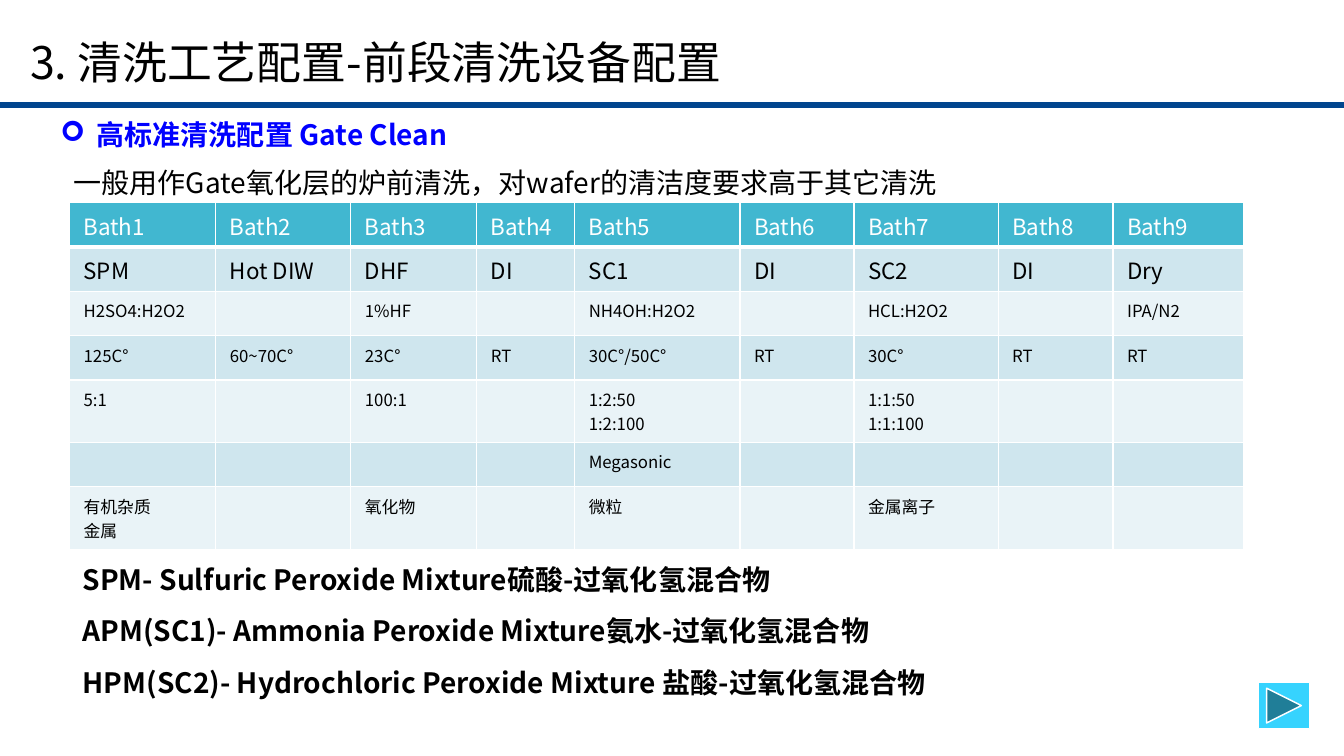
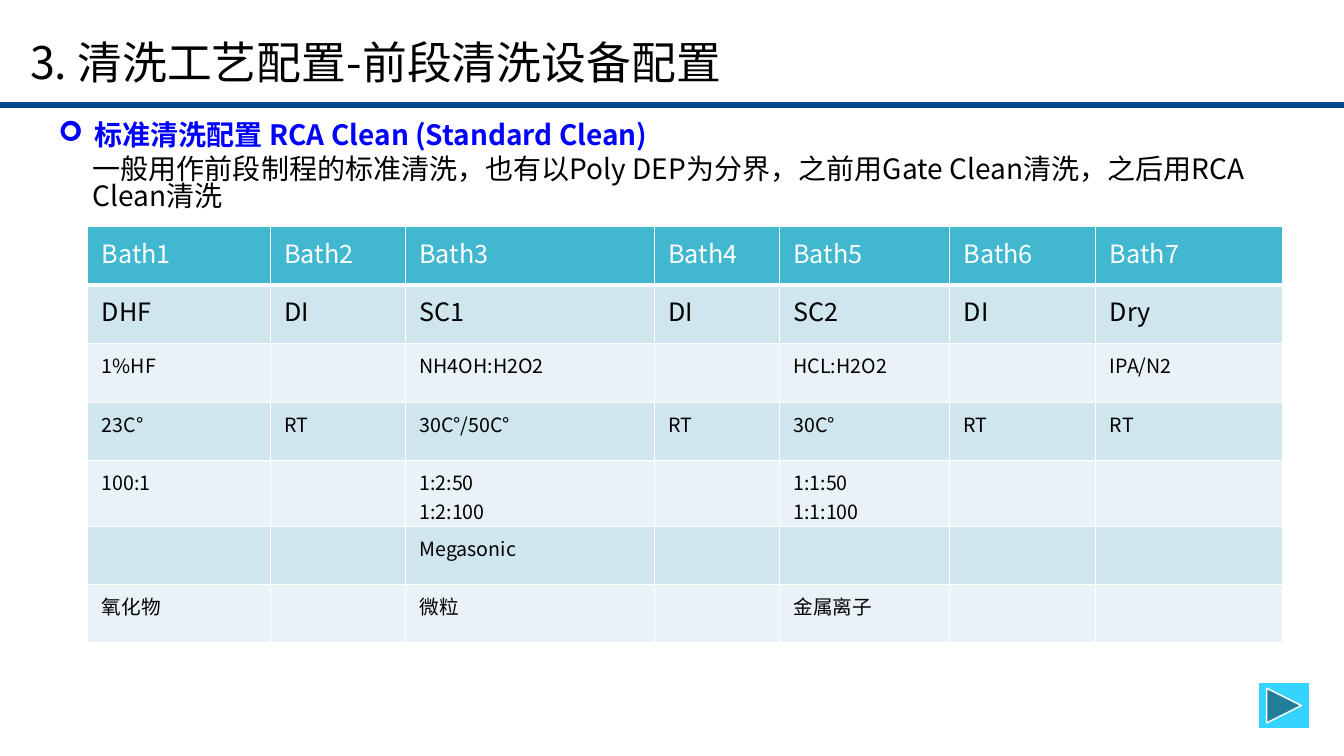
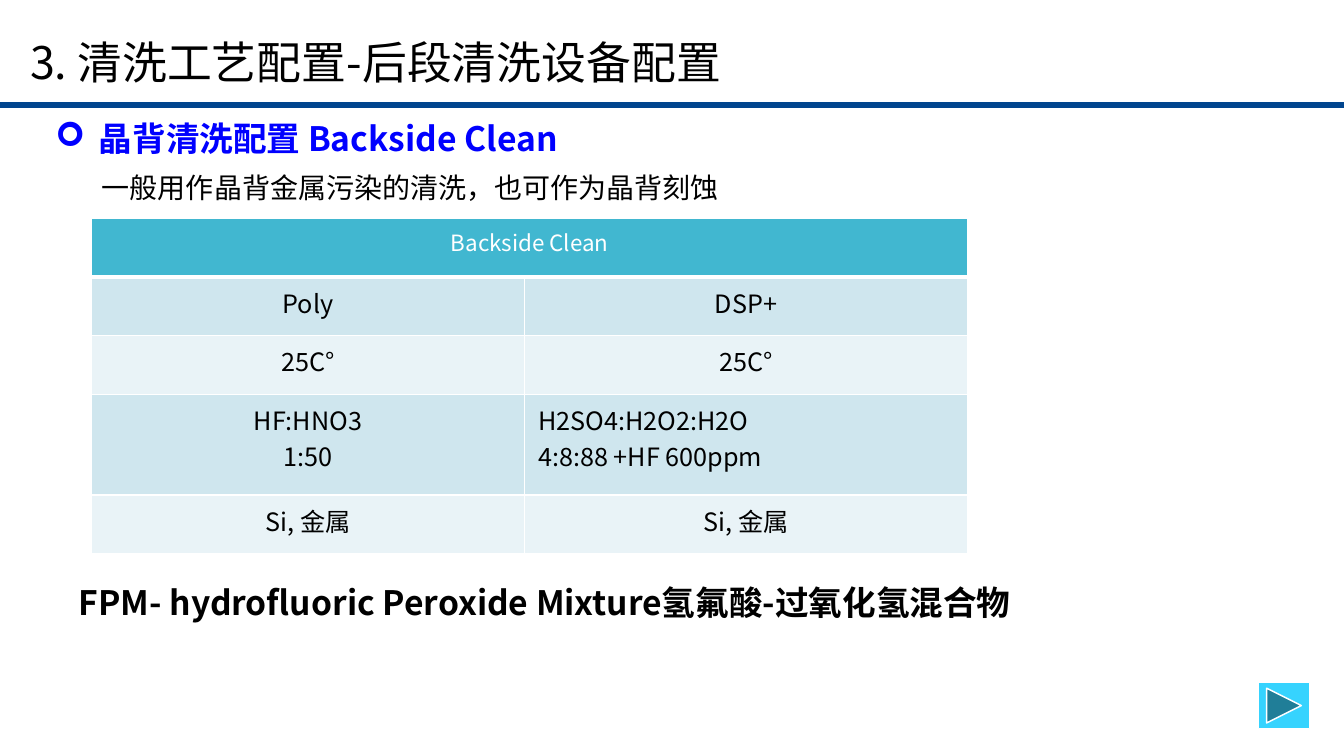
from lxml import etree
from pptx import Presentation
from pptx.dml.color import RGBColor
from pptx.enum import shapes, text
from pptx.oxml import ns
from pptx.util import Inches, Pt

FONT = "Noto Sans CJK SC"
BLACK, WHITE, BLUE, NAVY = "000000", "FFFFFF", "0000FF", "01458E"
TEAL, BANDS, SKY = "41B7D0", ("E9F3F7", "CFE6EE"), "36D3FE"
PAD = (0.14, 0.07)


def rgb(code):
    return RGBColor.from_string(code)


def sub(node, tag, **attrs):
    return etree.SubElement(node, ns.qn(tag), attrs)


def write(frame, words, size=20, color=BLACK, bold=False, align="LEFT",
          mark=None, space=None, pad=PAD, wrap=True):
    """Fill a text frame or cell frame, one paragraph per line."""
    frame.word_wrap = wrap
    frame.margin_left = frame.margin_right = Inches(pad[0])
    frame.margin_top = frame.margin_bottom = Inches(pad[1])
    for i, line in enumerate(words.split("\n")):
        para = frame.add_paragraph() if i else frame.paragraphs[0]
        para.alignment = getattr(text.PP_ALIGN, align)
        if space:
            para.line_spacing = space
        if mark:
            gap = Inches(round(size * 0.018, 2))
            props = para._p.get_or_add_pPr()
            props.set("marL", str(gap))
            props.set("indent", str(-gap))
            sub(props, "a:buFont", typeface="Wingdings")
            sub(props, "a:buChar", char=mark)
        run = para.add_run()
        run.text = line
        font = run.font
        font.size, font.bold, font.name = Pt(size), bold, FONT
        font.color.rgb = rgb(color)
        sub(run._r.get_or_add_rPr(), "a:ea", typeface=FONT)


def label(slide, box, words, **style):
    shape = slide.shapes.add_textbox(*map(Inches, box))
    write(shape.text_frame, words, **style)
    return shape


def edge(cell, foot):
    """White cell borders; foot is the width of the lower one."""
    props = cell._tc.get_or_add_tcPr()
    for i, (side, width) in enumerate(zip("LRTB", (1, 1, 1, foot))):
        line = etree.Element(ns.qn(f"a:ln{side}"), w=str(Pt(width)))
        sub(sub(line, "a:solidFill"), "a:srgbClr", val=WHITE)
        props.insert(i, line)


def frame(deck, title):
    """Slide with title, rule and forward button."""
    slide = deck.slides.add_slide(deck.slide_layouts[6])
    rule = slide.shapes.add_connector(
        shapes.MSO_CONNECTOR.STRAIGHT, 0, Inches(1.04), deck.slide_width, Inches(1.04))
    rule.line.color.rgb, rule.line.width = rgb(NAVY), Pt(4.5)
    sub(rule._element.spPr, "a:effectLst")

    head = label(slide, (0.2, 0.32, 12.8, 0.65), title, size=32,
                 space=0.9, pad=(0.1, 0.05))
    head.text_frame.vertical_anchor = text.MSO_ANCHOR.MIDDLE

    next_ = slide.shapes.add_shape(
        shapes.MSO_SHAPE.ACTION_BUTTON_FORWARD_OR_NEXT,
        *map(Inches, (12.48, 6.77, 0.51, 0.46)))
    next_.shadow.inherit = False
    next_.fill.solid()
    next_.fill.fore_color.rgb = rgb(SKY)
    next_.line.color.rgb, next_.line.width = rgb(WHITE), Pt(1)
    return slide


def topic(slide, box, words, size=20):
    label(slide, box, words, size=size, color=BLUE, bold=True, mark="➢")


def grid(slide, at, cols, highs, rows, sizes, align="LEFT", left=()):
    """Banded table; sizes holds a text size for each row."""
    shape = slide.shapes.add_table(
        len(rows), len(cols), *map(Inches, (*at, sum(cols), sum(highs))))
    table = shape.table
    for col, wide in zip(table.columns, cols):
        col.width = Inches(wide)
    for r, (row, high) in enumerate(zip(rows, highs)):
        table.rows[r].height = Inches(high)
        for c, words in enumerate(row):
            cell = table.cell(r, c)
            write(cell.text_frame, words, size=sizes[r],
                  color=BLACK if r else WHITE,
                  align="LEFT" if (r, c) in left else align)
            cell.margin_left = cell.margin_right = Inches(PAD[0])
            cell.margin_top = cell.margin_bottom = Inches(PAD[1])
            cell.fill.solid()
            cell.fill.fore_color.rgb = rgb(BANDS[r % 2] if r else TEAL)
            edge(cell, 1 if r else 3)
    return table


def baths(count):
    return [f"Bath{i + 1}" for i in range(count)]


def gate(deck):
    slide = frame(deck, "3. 清洗工艺配置-前段清洗设备配置")
    topic(slide, (0.46, 1.1, 12.8, 0.48), "高标准清洗配置 Gate Clean")
    label(slide, (0.59, 1.57, 12.4, 0.48),
          "一般用作Gate氧化层的炉前清洗，对wafer的清洁度要求高于其它清洗")
    grid(slide, (0.69, 2.01),
         (1.45, 1.34, 1.25, 0.97, 1.64, 1.13, 1.43, 1.14, 1.3),
         (0.44, 0.44, 0.44, 0.44, 0.62, 0.44, 0.62),
         [baths(9),
          ["SPM", "Hot DIW", "DHF", "DI", "SC1", "DI", "SC2", "DI", "Dry"],
          ["H2SO4:H2O2", "", "1%HF", "", "NH4OH:H2O2", "", "HCL:H2O2", "", "IPA/N2"],
          ["125C°", "60~70C°", "23C°", "RT", "30C°/50C°", "RT", "30C°", "RT", "RT"],
          ["5:1", "", "100:1", "", "1:2:50\n1:2:100", "", "1:1:50\n1:1:100", "", ""],
          ["", "", "", "", "Megasonic", "", "", "", ""],
          ["有机杂质\n金属", "", "氧化物", "", "微粒", "", "金属离子", "", ""]],
         [16] * 2 + [12] * 5)
    # Abbreviations
    notes = ("SPM- Sulfuric Peroxide Mixture硫酸-过氧化氢混合物",
             "APM(SC1)- Ammonia Peroxide Mixture氨水-过氧化氢混合物",
             "HPM(SC2)- Hydrochloric Peroxide Mixture 盐酸-过氧化氢混合物")
    for i, words in enumerate(notes):
        label(slide, (0.68, 5.51 + 0.51 * i, 9.01, 0.48), words, bold=True)


def rca(deck):
    slide = frame(deck, "3. 清洗工艺配置-前段清洗设备配置")
    topic(slide, (0.44, 1.1, 12.8, 0.48), "标准清洗配置 RCA Clean (Standard Clean)")
    label(slide, (0.78, 1.5, 11.77, 0.82),
          "一般用作前段制程的标准清洗，也有以Poly DEP为分界，"
          "之前用Gate Clean清洗，之后用RCA Clean清洗", space=0.8)
    grid(slide, (0.87, 2.25),
         (1.81, 1.34, 2.47, 1.24, 1.69, 1.45, 1.85),
         (0.58, 0.58, 0.58, 0.58, 0.65, 0.58, 0.58),
         [baths(7),
          ["DHF", "DI", "SC1", "DI", "SC2", "DI", "Dry"],
          ["1%HF", "", "NH4OH:H2O2", "", "HCL:H2O2", "", "IPA/N2"],
          ["23C°", "RT", "30C°/50C°", "RT", "30C°", "RT", "RT"],
          ["100:1", "", "1:2:50\n1:2:100", "", "1:1:50\n1:1:100", "", ""],
          ["", "", "Megasonic", "", "", "", ""],
          ["氧化物", "", "微粒", "", "金属离子", "", ""]],
         [18] * 2 + [14] * 5)


def back(deck):
    slide = frame(deck, "3. 清洗工艺配置-后段清洗设备配置")
    topic(slide, (0.41, 1.1, 9.69, 0.55), "晶背清洗配置 Backside Clean", size=24)
    label(slide, (0.87, 1.62, 8.48, 0.48), "一般用作晶背金属污染的清洗，也可作为晶背刻蚀")
    table = grid(slide, (0.91, 2.17), (4.29, 4.4), (0.58, 0.58, 0.58, 1, 0.58),
                 [["Backside Clean", ""],
                  ["Poly", "DSP+"],
                  ["25C°", "25C°"],
                  ["HF:HNO3\n1:50", "H2SO4:H2O2:H2O\n4:8:88 +HF 600ppm"],
                  ["Si, 金属", "Si, 金属"]],
                 [16] + [18] * 4, align="CENTER", left={(3, 1)})
    table.cell(0, 0).merge(table.cell(0, 1))
    label(slide, (0.64, 5.7, 9.89, 0.55),
          "FPM- hydrofluoric Peroxide Mixture氢氟酸-过氧化氢混合物", size=24, bold=True)


def main():
    deck = Presentation()
    deck.slide_width, deck.slide_height = Inches(13.33), Inches(7.5)
    for build in (gate, rca, back):
        build(deck)
    deck.save("out.pptx")


if __name__ == "__main__":
    main()
